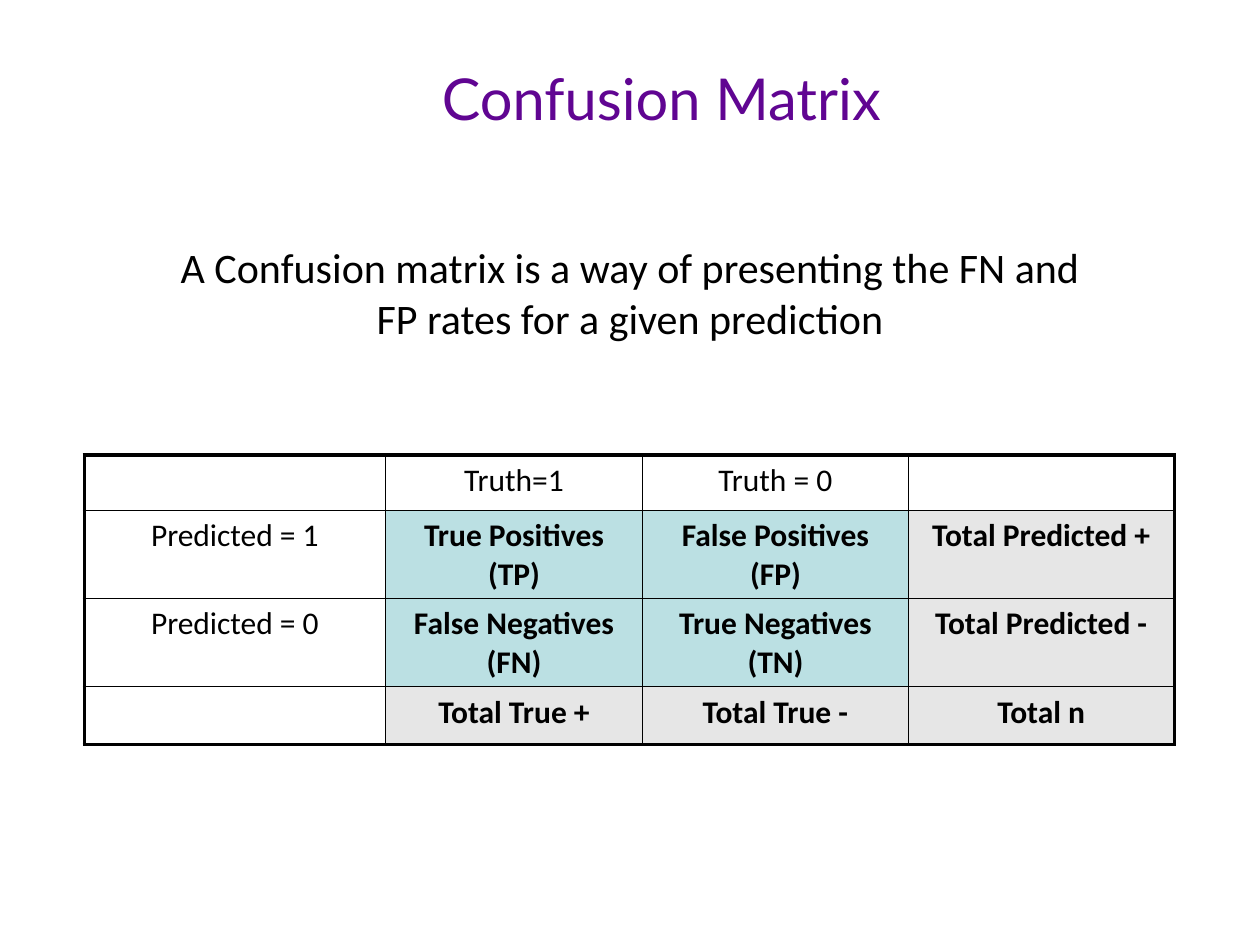
from lxml.etree import SubElement
from pptx import Presentation
from pptx.dml.color import RGBColor
from pptx.enum.text import MSO_ANCHOR, PP_ALIGN
from pptx.oxml.ns import qn
from pptx.util import Inches, Pt

COLORS = {"title": "600592", "text": "000000", "border": "000000",
          "outcome": "BBE0E3", "total": "E6E6E6"}
TITLE = "Confusion Matrix"
SUMMARY = "A Confusion matrix is a way of presenting the FN and FP rates for a given prediction"
MATRIX = [
    ["", "Truth=1", "Truth = 0", ""],
    ["Predicted = 1", "True Positives (TP)", "False Positives (FP)", "Total Predicted +"],
    ["Predicted = 0", "False Negatives (FN)", "True Negatives (TN)", "Total Predicted -"],
    ["", "Total True +", "Total True -", "Total n"],
]
COLUMN_WIDTHS = [2.39, 2.04, 2.11, 2.11]
ROW_HEIGHTS = [0.44, 0.7, 0.7, 0.46]
OUTER_LINE, INNER_LINE = 2.25, 1


def write(frame, text, font, size, color, bold=False):
    frame.text = text
    paragraph = frame.paragraphs[0]
    paragraph.alignment = PP_ALIGN.CENTER
    for span in paragraph.runs:
        span.font.name = font
        span.font.size = Pt(size)
        span.font.bold = bold
        span.font.color.rgb = RGBColor.from_string(COLORS[color])


def place(shape, left, top, width, height):
    shape.left, shape.top = Inches(left), Inches(top)
    shape.width, shape.height = Inches(width), Inches(height)


def add_borders(cell, outer_sides):
    """Draw all four sides; outer_sides maps each side to whether it is on the table edge."""
    properties = cell._tc.get_or_add_tcPr()
    for side, is_outer in outer_sides.items():
        width = Pt(OUTER_LINE if is_outer else INNER_LINE)
        line = SubElement(properties, qn(f"a:ln{side}"), w=str(int(width)))
        fill = SubElement(line, qn("a:solidFill"))
        SubElement(fill, qn("a:srgbClr"), val=COLORS["border"])


def fill_cell(cell, row, column):
    last_row, last_column = len(MATRIX) - 1, len(COLUMN_WIDTHS) - 1
    add_borders(cell, {"L": column == 0, "R": column == last_column,
                       "T": row == 0, "B": row == last_row})
    is_header = row == 0 or column == 0
    if is_header:
        cell.fill.background()
    else:
        kind = "total" if row == last_row or column == last_column else "outcome"
        cell.fill.solid()
        cell.fill.fore_color.rgb = RGBColor.from_string(COLORS[kind])
    write(cell.text_frame, MATRIX[row][column], "Calibri", 18, "text", bold=not is_header)


def main():
    deck = Presentation()
    deck.slide_width, deck.slide_height = Inches(10), Inches(7.5)
    page = deck.slides.add_slide(deck.slide_layouts[5])

    title = page.shapes.title
    place(title, 0.25, 0.15, 10, 1.25)
    title.text_frame.vertical_anchor = MSO_ANCHOR.MIDDLE
    write(title.text_frame, TITLE, "Lato", 33, "title")

    summary = page.shapes.add_textbox(Inches(1.23), Inches(1.87), Inches(7.54), Inches(0.91))
    summary.text_frame.word_wrap = True
    write(summary.text_frame, SUMMARY, "Calibri", 24, "text")

    frame = page.shapes.add_table(
        len(ROW_HEIGHTS), len(COLUMN_WIDTHS), Inches(0.67), Inches(3.61),
        Inches(sum(COLUMN_WIDTHS)), Inches(sum(ROW_HEIGHTS)))
    table = frame.table
    table.first_row = table.horz_banding = False
    for column, width in zip(table.columns, COLUMN_WIDTHS):
        column.width = Inches(width)
    for row, height in zip(table.rows, ROW_HEIGHTS):
        row.height = Inches(height)
    for row in range(len(ROW_HEIGHTS)):
        for column in range(len(COLUMN_WIDTHS)):
            fill_cell(table.cell(row, column), row, column)

    deck.save("out.pptx")


if __name__ == "__main__":
    main()
